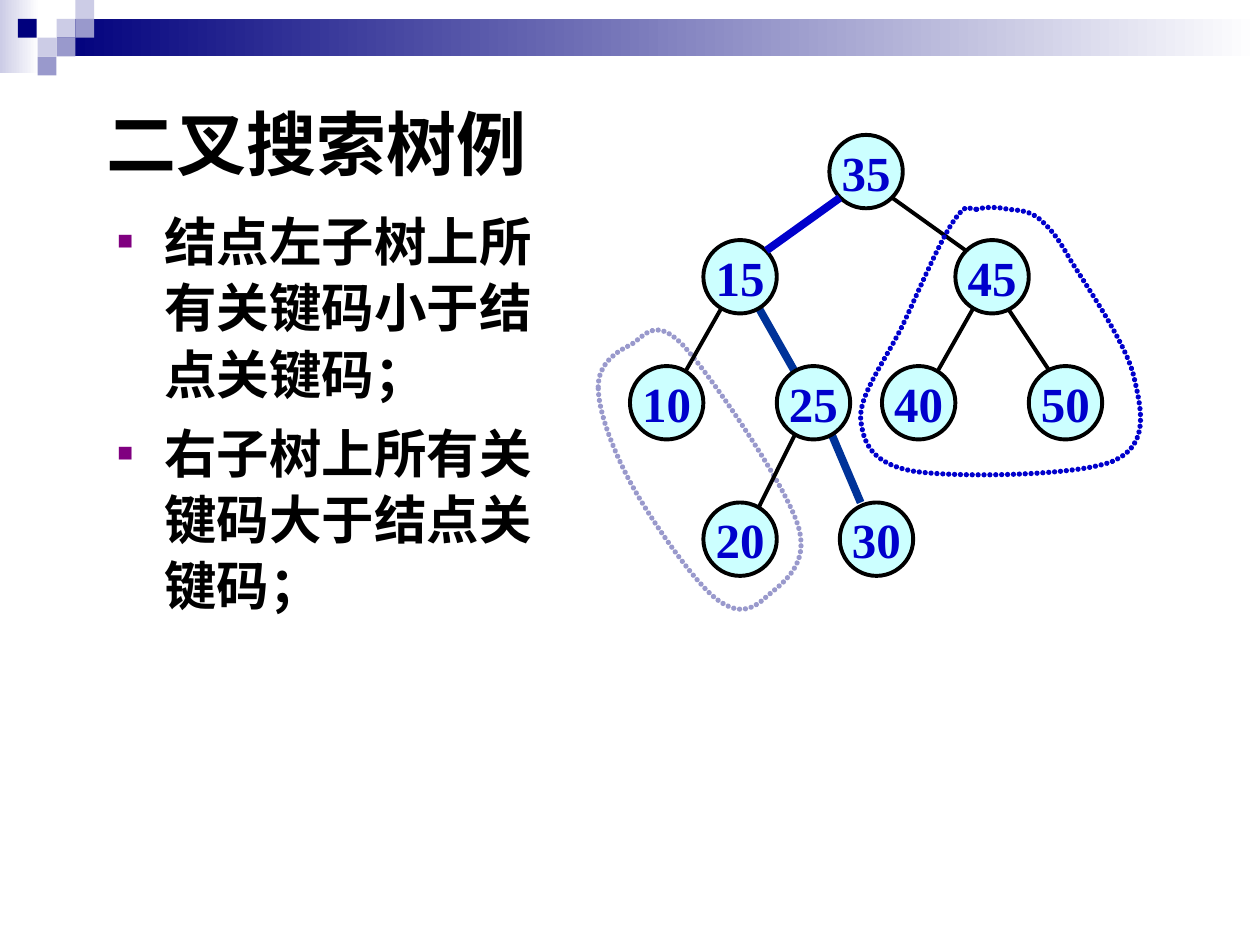
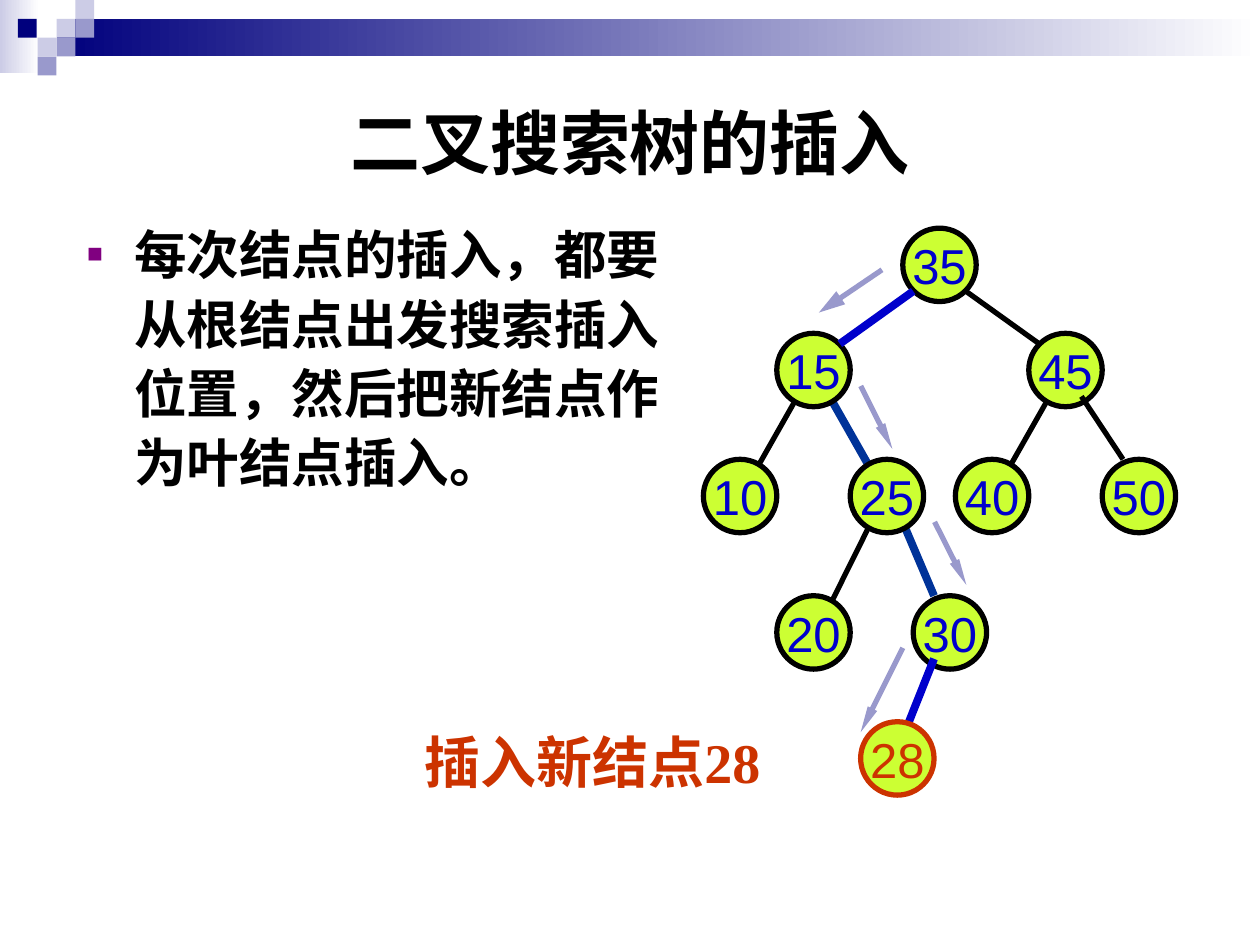
from collections import namedtuple

from pptx import Presentation
from pptx.dml.color import RGBColor
from pptx.enum.shapes import MSO_CONNECTOR, MSO_SHAPE
from pptx.enum.text import MSO_ANCHOR, MSO_AUTO_SIZE, PP_ALIGN
from pptx.oxml.ns import qn
from pptx.util import Cm, Pt
from lxml.etree import SubElement

COLOURS = {
    "black": "000000", "white": "FFFFFF", "navy": "00007D", "blue": "0000CC",
    "path": "003399", "lavender": "9999CC", "mist": "CCCCE6", "cyan": "CCFFFF",
    "lime": "CCFF33", "red": "CC3300", "purple": "800080",
}
SANS, SERIF = "Arial", "Times New Roman"

Box = namedtuple("Box", "left top width height")
# reach and leave: offset of the start from the parent's centre, across and down;
# arrive and enter: offset of the end from the child's centre, back and up
Edge = namedtuple("Edge", "parent child colour reach leave arrive enter",
                  defaults=("black", 0.32, 0.53, 0.32, 0.53))
TreeStyle = namedtuple("TreeStyle", "fill line_width font bold")

SQUARE = 0.38
DIAMETER = 1.48
THICK = 4.5
LEVELS = [0, 2.12, 4.66, 7.41, 9.95]
# key: (left, level), measured from the corner of the tree
NODES = {
    35: (4.02, 0), 15: (1.48, 1), 45: (6.56, 1), 50: (8.04, 2), 40: (5.08, 2),
    25: (2.96, 2), 10: (0, 2), 20: (1.48, 3), 30: (4.23, 3), 28: (3.17, 4),
}
EDGES_BELOW = [
    Edge(45, 40), Edge(25, 30, "path", enter=0.74), Edge(25, 20),
    Edge(15, 10), Edge(15, 25, "path"),
]
EDGES_ABOVE = [Edge(35, 15, "blue", reach=0.53, arrive=0.53),
               Edge(35, 45, reach=0.53, arrive=0.53)]

# Closed Bézier outlines: a start, then two controls and an end for each curve
LEFT_SUBTREE = [
    (-0.64, 5.08), (-0.64, 4.62), (-0.28, 4.37), (0, 4.24),
    (0.28, 4.09), (0.48, 3.63), (1.07, 4.24),
    (1.63, 4.85), (3.1, 6.99), (3.38, 7.85),
    (3.66, 8.69), (3.02, 9.07), (2.74, 9.32),
    (2.46, 9.58), (2.16, 9.7), (1.7, 9.32),
    (1.24, 8.94), (0.38, 7.7), (0, 6.99),
    (-0.38, 6.27), (-0.64, 5.54), (-0.64, 5.08),
]
RIGHT_SUBTREE = [
    (6.99, 1.5), (7.16, 1.45), (7.42, 1.45), (7.62, 1.5),
    (7.82, 1.52), (8.05, 1.52), (8.26, 1.7),
    (8.46, 1.88), (8.59, 2.01), (8.89, 2.54),
    (9.22, 3.07), (10.01, 4.22), (10.16, 4.88),
    (10.31, 5.54), (10.49, 6.25), (9.73, 6.58),
    (8.99, 6.88), (6.55, 6.91), (5.72, 6.78),
    (4.88, 6.63), (4.7, 6.22), (4.65, 5.72),
    (4.62, 5.23), (5.18, 4.5), (5.51, 3.81),
    (5.82, 3.15), (6.27, 2.08), (6.55, 1.7),
    (6.83, 1.32), (6.81, 1.52), (6.99, 1.5),
]
# start, end and width of the arrowhead
SEARCH_STEPS = [
    ((3.6, 0.84), (2.33, 1.7), "med"), ((3.17, 3.18), (3.81, 4.45), "sm"),
    ((4.66, 5.92), (5.3, 7.19), "sm"), ((4.02, 8.46), (3.17, 10.16), "sm"),
]


def rgb(name):
    return RGBColor.from_string(COLOURS[name])


def place(shape, box):
    shape.left, shape.top, shape.width, shape.height = map(Cm, box)


def format_text(paragraph, font, size, colour, bold=False):
    for run in paragraph.runs:
        run.font.name, run.font.size, run.font.bold = font, Pt(size), bold
        run.font.color.rgb = rgb(colour)


def add_shape(slide, kind, box, *fill):
    """Add a preset shape; two fill colours make a gradient from left to right."""
    shape = slide.shapes.add_shape(kind, *map(Cm, box))
    shape.shadow.inherit = False
    if len(fill) == 1:
        shape.fill.solid()
        shape.fill.fore_color.rgb = rgb(fill[0])
    else:
        shape.fill.gradient()
        shape.fill.gradient_angle = 0
        for stop, colour in zip(shape.fill.gradient_stops, fill):
            stop.color.rgb = rgb(colour)
    shape.line.fill.background()
    return shape


def add_line(slide, start, end, colour, width, head=None):
    connector = slide.shapes.add_connector(
        MSO_CONNECTOR.STRAIGHT, *map(Cm, (*start, *end)))
    connector.line.color.rgb = rgb(colour)
    connector.line.width = Pt(width)
    properties = connector.element.spPr
    if head:
        SubElement(properties.find(qn("a:ln")), qn("a:tailEnd"),
                   type="triangle", w=head, len="lg")
    SubElement(properties, qn("a:effectLst"))


def add_band(prs, slide):
    """Draw the top band and hand it to the slide master, behind its text."""
    parts = [
        add_shape(slide, MSO_SHAPE.RECTANGLE, (0, 0, 0.79, 1.48), "mist", "white"),
        add_shape(slide, MSO_SHAPE.RECTANGLE, (3 * SQUARE, SQUARE, 24.26, 2 * SQUARE),
                  "navy", "white"),
    ]
    squares = [(3, 1, "mist"), (4, 0, "mist"), (4, 1, "lavender"), (2, 2, "mist"),
               (0.95, 1, "navy"), (3, 2, "lavender"), (2, 3, "lavender")]
    for column, row, colour in squares:
        box = (column * SQUARE, row * SQUARE, SQUARE, SQUARE)
        parts.append(add_shape(slide, MSO_SHAPE.RECTANGLE, box, colour))
    tree = prs.slide_master.shapes.element
    for index, part in enumerate(parts):
        part.element.find(".//" + qn("p:cNvPr")).set("id", str(100 + index))
        tree.insert(2 + index, part.element)


def fill_title(slide, box, text, alignment):
    title = slide.shapes.title
    place(title, box)
    frame = title.text_frame
    frame.text = text
    frame.vertical_anchor = MSO_ANCHOR.MIDDLE
    frame.auto_size = MSO_AUTO_SIZE.NONE
    frame.paragraphs[0].alignment = alignment
    format_text(frame.paragraphs[0], SANS, 40, "black", True)


def fill_body(slide, box, points, font, line_spacing):
    body = slide.placeholders[1]
    place(body, box)
    frame = body.text_frame
    frame.text = "\n".join(points)
    frame.auto_size = MSO_AUTO_SIZE.NONE
    for paragraph in frame.paragraphs:
        paragraph.line_spacing = line_spacing
        paragraph.space_before = Pt(7.5)
        format_text(paragraph, font, 30, "black", True)
        add_bullet(paragraph)


def add_bullet(paragraph):
    properties = paragraph._p.get_or_add_pPr()
    properties.set("marL", str(Cm(0.95)))
    properties.set("indent", str(-Cm(0.95)))
    colour = SubElement(properties, qn("a:buClr"))
    SubElement(colour, qn("a:srgbClr"), val=COLOURS["purple"])
    SubElement(properties, qn("a:buSzPct"), val="50000")
    SubElement(properties, qn("a:buFont"), typeface=SANS)
    SubElement(properties, qn("a:buChar"), char="■")


def add_node(slide, box, key, style, colour="blue", outline="black"):
    left, level = NODES[key]
    node = add_shape(
        slide, MSO_SHAPE.OVAL,
        (box.left + left, box.top + LEVELS[level], DIAMETER, DIAMETER), style.fill)
    node.line.color.rgb = rgb(outline)
    node.line.width = Pt(style.line_width)
    frame = node.text_frame
    frame.text = str(key)
    frame.word_wrap = False
    frame.vertical_anchor = MSO_ANCHOR.MIDDLE
    frame.paragraphs[0].alignment = PP_ALIGN.CENTER
    format_text(frame.paragraphs[0], style.font, 28, colour, style.bold)


def add_edge(slide, box, edge, style):
    def centre(key):
        left, level = NODES[key]
        return (box.left + left + DIAMETER / 2,
                box.top + LEVELS[level] + DIAMETER / 2)

    (x1, y1), (x2, y2) = centre(edge.parent), centre(edge.child)
    side = 1 if x2 > x1 else -1
    width = style.line_width if edge.colour == "black" else THICK
    add_line(slide, (x1 + side * edge.reach, y1 + edge.leave),
             (x2 - side * edge.arrive, y2 - edge.enter), edge.colour, width)


def add_tree(slide, box, style, last_edges):
    for edge in EDGES_BELOW:
        add_edge(slide, box, edge, style)
    for key in NODES:
        if key != 28:
            add_node(slide, box, key, style)
    for edge in EDGES_ABOVE + last_edges:
        add_edge(slide, box, edge, style)


def bend_segments(freeform):
    """Turn every three straight segments into one cubic Bézier curve."""
    segments = list(freeform.element.iter(qn("a:lnTo")))
    for first in range(0, len(segments), 3):
        control, *others = segments[first:first + 3]
        curve = control.makeelement(qn("a:cubicBezTo"))
        control.addprevious(curve)
        for segment in (control, *others):
            curve.append(segment[0])
            segment.getparent().remove(segment)


def add_subtree_outline(slide, box, outline, colour):
    start, *points = [(Cm(box.left + x), Cm(box.top + y)) for x, y in outline]
    builder = slide.shapes.build_freeform(*start)
    builder.add_line_segments(points, close=True)
    border = builder.convert_to_shape()
    bend_segments(border)
    border.shadow.inherit = False
    border.fill.background()
    border.line.color.rgb = rgb(colour)
    border.line.width = Pt(3)
    line = border.element.spPr.find(qn("a:ln"))
    line.set("cap", "rnd")
    dots = SubElement(line, qn("a:custDash"))
    SubElement(dots, qn("a:ds"), d="100000", sp="12000")


def add_caption(slide, box, text):
    frame = slide.shapes.add_textbox(*map(Cm, box)).text_frame
    frame.word_wrap = True
    frame.text = text
    format_text(frame.paragraphs[0], SERIF, 32, "red", True)


def build_example(slide):
    fill_title(slide, Box(1.9, 1.73, 9.86, 2.29), "二叉搜索树例", PP_ALIGN.LEFT)
    fill_body(slide, Box(2.11, 4.03, 9.4, 9.09),
              ["结点左子树上所有关键码小于结点关键码；",
               "右子树上所有关键码大于结点关键码；"], SANS, 1.05)
    tree = Box(12.7, 2.72, 9.52, 8.9)
    add_subtree_outline(slide, tree, LEFT_SUBTREE, "lavender")
    add_tree(slide, tree, TreeStyle("cyan", 2.25, SERIF, True),
             [Edge(45, 50, leave=0.64, enter=0.64)])
    add_subtree_outline(slide, tree, RIGHT_SUBTREE, "blue")


def build_insertion(slide):
    fill_title(slide, Box(1.27, 1.27, 22.86, 3.15), "二叉搜索树的插入", PP_ALIGN.CENTER)
    fill_body(slide, Box(1.5, 4.23, 12.5, 10.8),
              ["每次结点的插入，都要从根结点出发搜索插入位置，然后把新结点作为叶结点插入。"],
              SERIF, 1.1)
    tree = Box(14.18, 4.6, 9.52, 11.44)
    style = TreeStyle("lime", 3, SANS, False)
    add_tree(slide, tree, style,
             [Edge(45, 50, enter=0.74), Edge(30, 28, "blue", arrive=-0.1, enter=-0.1)])
    for start, end, head in SEARCH_STEPS:
        add_line(slide, (tree.left + start[0], tree.top + start[1]),
                 (tree.left + end[0], tree.top + end[1]), "lavender", 3, head)
    add_node(slide, tree, 28, style, colour="red", outline="red")
    add_caption(slide, Box(8.3, 14.55, 8.26, 1.63), "插入新结点28")


def main():
    prs = Presentation()
    prs.slide_width, prs.slide_height = Cm(25.4), Cm(19.05)
    title_and_body = prs.slide_layouts[1]
    slides = [prs.slides.add_slide(title_and_body) for _ in range(2)]
    add_band(prs, slides[0])
    build_example(slides[0])
    build_insertion(slides[1])
    prs.save("out.pptx")


if __name__ == "__main__":
    main()
